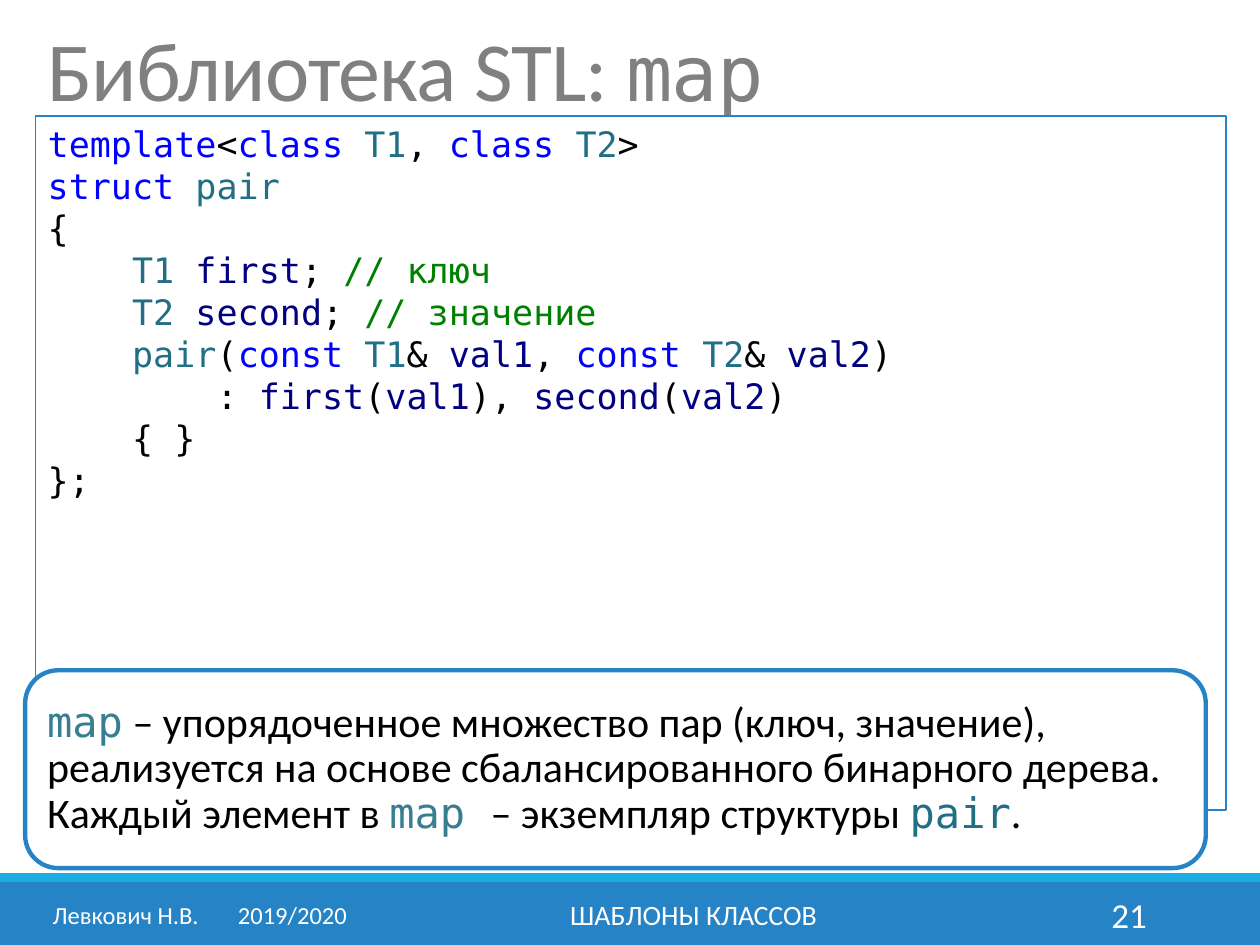
from typing import NamedTuple

from lxml import etree
from pptx import Presentation
from pptx import util as u
from pptx.dml.color import RGBColor
from pptx.enum import shapes, text
from pptx.oxml.ns import qn

WHITE = RGBColor(0xFF, 0xFF, 0xFF)
BLACK = RGBColor(0, 0, 0)
GRAY = RGBColor(0x80, 0x80, 0x80)
BLUE = RGBColor(0x26, 0x83, 0xC6)
CYAN = RGBColor(0x1C, 0xAD, 0xE4)
WORD = RGBColor(0, 0, 0xFF)
TYPE = RGBColor(0x21, 0x6F, 0x85)
NAME = RGBColor(0, 0, 0x80)
NOTE = RGBColor(0, 0x80, 0)
TEAL = RGBColor(0x38, 0x7E, 0x91)
SANS = "Calibri"
MONO = "DejaVu Sans Mono"

TINTS = {
    **dict.fromkeys(["template", "class", "struct", "const"], WORD),
    **dict.fromkeys(["T1", "T2", "pair"], TYPE),
    **dict.fromkeys(["first", "second", "val1", "val2"], NAME),
    **dict.fromkeys(["// ключ", "// значение"], NOTE),
}
CODE = [
    "template|<|class| |T1|, |class| |T2|>",
    "struct| |pair",
    "{",
    "    |T1| |first|; |// ключ",
    "    |T2| |second|; |// значение",
    "    |pair|(|const| |T1|& |val1|, |const| |T2|& |val2|)",
    "        : |first|(|val1|), |second|(|val2|)",
    "    { }",
    "};",
]


class Box(NamedTuple):
    left: float
    top: float
    width: float
    height: float


class Bit(NamedTuple):
    words: str
    size: float
    color: RGBColor
    font: str = SANS


class Foot(NamedTuple):
    box: Box
    bit: Bit
    align: text.PP_ALIGN


def place(box: Box) -> list:
    return [u.Inches(n) for n in box]


def write(frame, lines: list[list[Bit]], align=text.PP_ALIGN.LEFT,
          anchor=text.MSO_ANCHOR.TOP, space: float | None = None) -> None:
    frame.word_wrap = True
    frame.vertical_anchor = anchor
    for i, line in enumerate(lines):
        para = frame.add_paragraph() if i else frame.paragraphs[0]
        para.alignment = align
        para.line_spacing = space
        for bit in line:
            run = para.add_run()
            run.text = bit.words
            run.font.size = u.Pt(bit.size)
            run.font.name = bit.font
            run.font.color.rgb = bit.color


def add_text(slide, box: Box, lines: list[list[Bit]], **style):
    frame = slide.shapes.add_textbox(*place(box)).text_frame
    write(frame, lines, **style)
    return frame


def add_box(slide, kind, box: Box, fill: RGBColor | None,
            line: RGBColor | None = None, width: float = 0):
    shape = slide.shapes.add_shape(kind, *place(box))
    shape.shadow.inherit = False
    if fill is None:
        shape.fill.background()
    else:
        shape.fill.solid()
        shape.fill.fore_color.rgb = fill
    if line is None:
        shape.line.fill.background()
    else:
        shape.line.color.rgb = line
        shape.line.width = u.Pt(width)
    return shape


def add_tab(para, pos: float) -> None:
    tabs = etree.SubElement(para._p.get_or_add_pPr(), qn("a:tabLst"))
    etree.SubElement(tabs, qn("a:tab"), pos=str(u.Inches(pos)), algn="l")


def main() -> None:
    prs = Presentation()
    prs.slide_width, prs.slide_height = u.Inches(10), u.Inches(7.5)
    slide = prs.slides.add_slide(prs.slide_layouts[6])
    rect = shapes.MSO_SHAPE.RECTANGLE
    mid = text.MSO_ANCHOR.MIDDLE
    side = text.PP_ALIGN

    add_box(slide, rect, Box(0, 7, 10, 0.5), BLUE)
    add_box(slide, rect, Box(0, 6.93, 10, 0.07), CYAN)

    feet = [
        Foot(Box(8.12, 7.06, 1.08, 0.4), Bit("21", 20, WHITE), side.RIGHT),
        Foot(Box(3.02, 7.06, 4.97, 0.4), Bit("ШАБЛОНЫ КЛАССОВ", 16, WHITE), side.CENTER),
        Foot(Box(0.32, 7.06, 2.61, 0.4), Bit("Левкович Н.В. \t2019/2020", 14, WHITE), side.LEFT),
    ]
    for foot in feet:
        frame = add_text(slide, foot.box, [[foot.bit]], align=foot.align, anchor=mid)
        if "\t" in foot.bit.words:
            add_tab(frame.paragraphs[0], 1.47)

    title = add_text(slide, Box(0.28, 0.21, 9.45, 0.79), [[
        Bit("Библиотека STL: ", 48, GRAY), Bit("map", 44, GRAY, MONO)]], space=0.85)
    for run in title.paragraphs[0].runs:
        run.font._element.set("spc", "-50")

    code = add_box(slide, rect, Box(0.28, 0.92, 9.45, 5.51), None, BLUE, 0.75)
    write(code.text_frame, [
        [Bit(part, 20, TINTS.get(part, BLACK), MONO) for part in line.split("|")]
        for line in CODE])

    card = add_box(slide, shapes.MSO_SHAPE.ROUNDED_RECTANGLE,
                   Box(0.2, 5.32, 9.37, 1.57), WHITE, BLUE, 2.5)
    write(card.text_frame, [
        [Bit("map", 24, TEAL, MONO),
         Bit(" – упорядоченное множество пар (ключ, значение), реализуется "
             "на основе сбалансированного бинарного дерева.", 24, BLACK)],
        [Bit("Каждый элемент в ", 24, BLACK),
         Bit("map ", 24, TEAL, MONO),
         Bit("– экземпляр структуры ", 24, BLACK),
         Bit("pair", 24, TYPE, MONO),
         Bit(".", 24, BLACK)],
    ], anchor=mid, space=0.9)

    prs.save("out.pptx")


if __name__ == "__main__":
    main()
